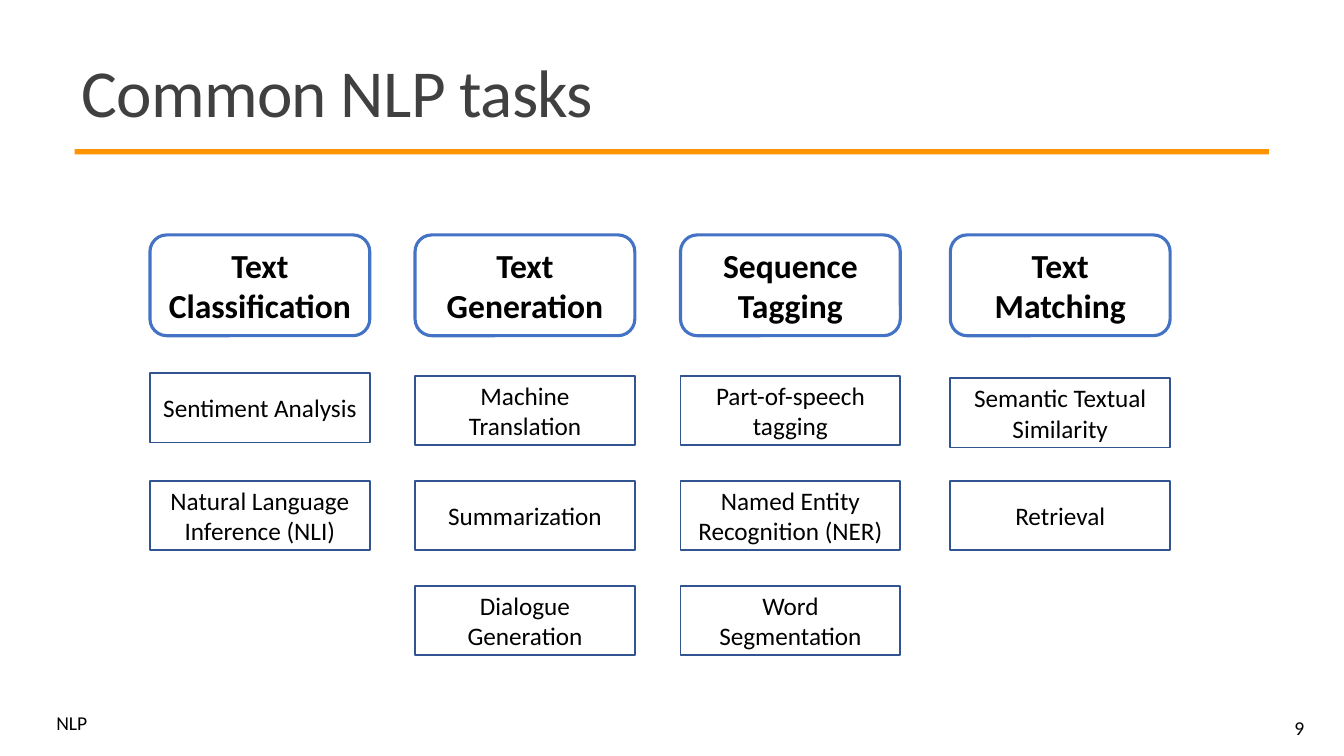
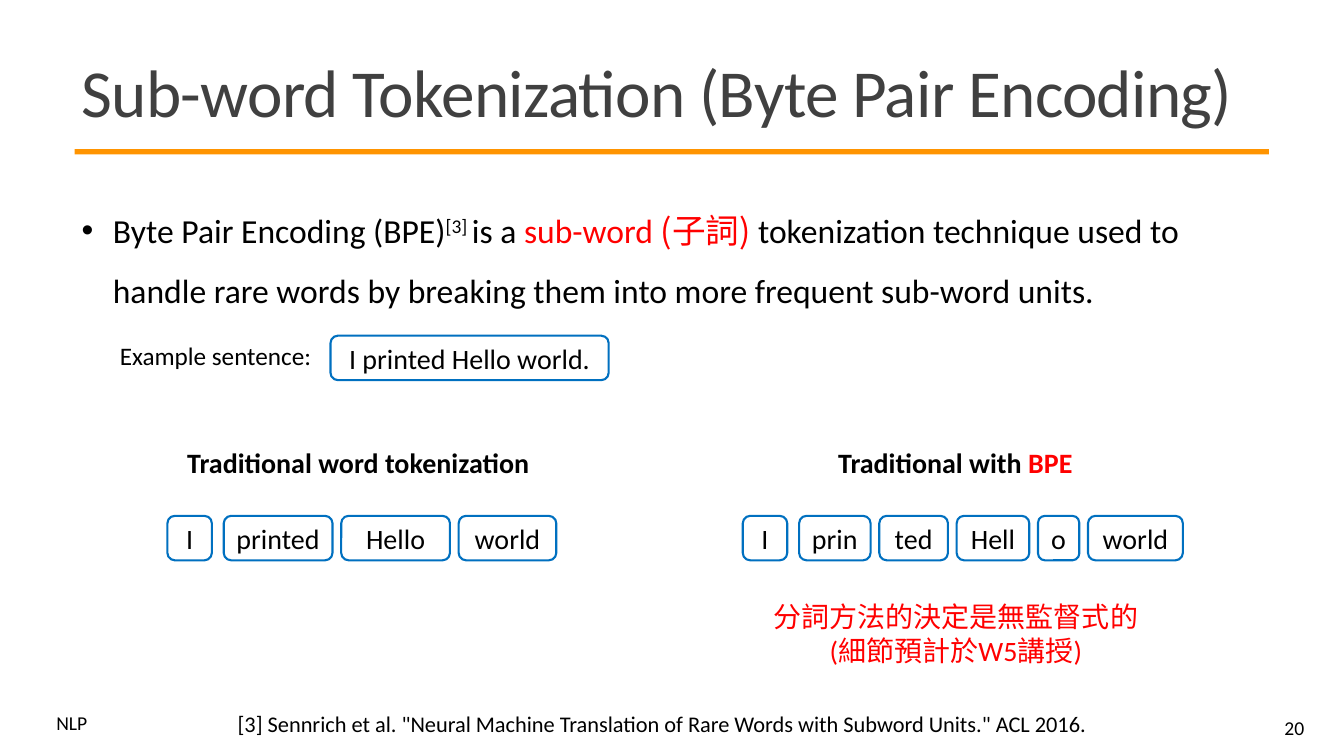
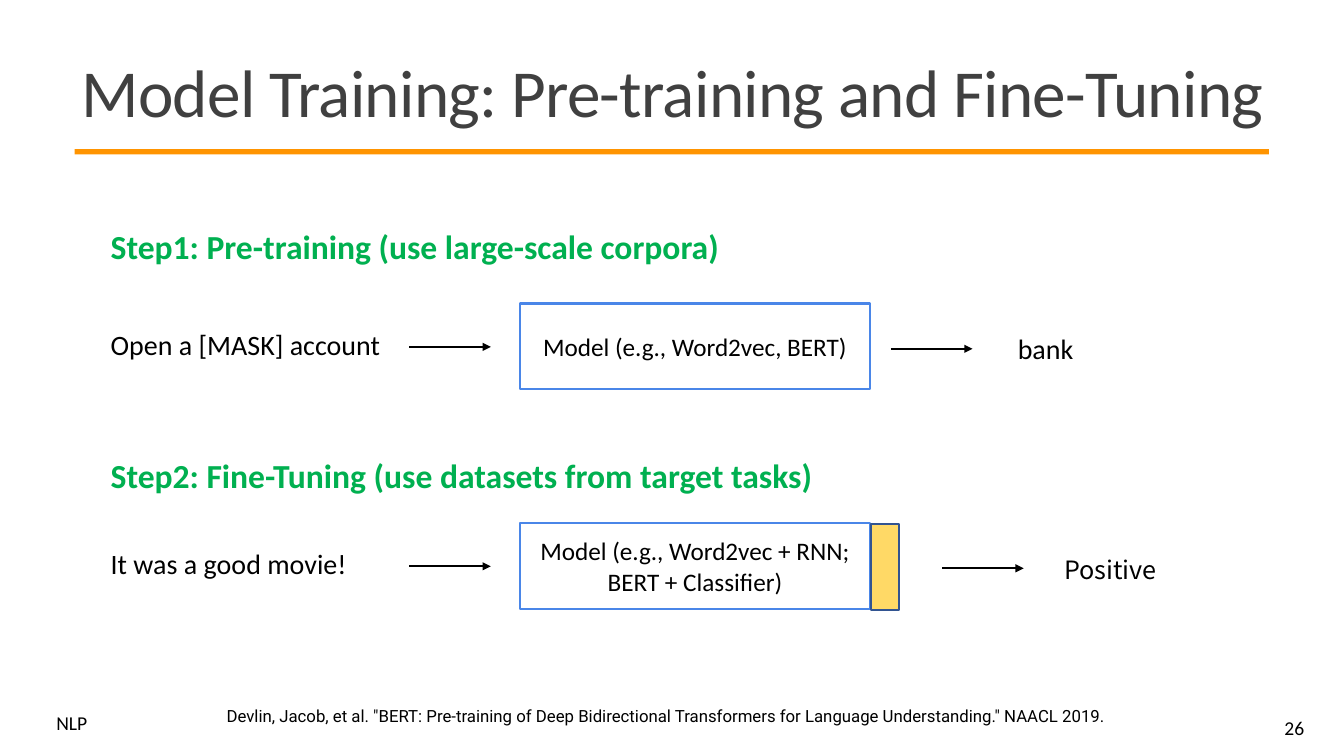
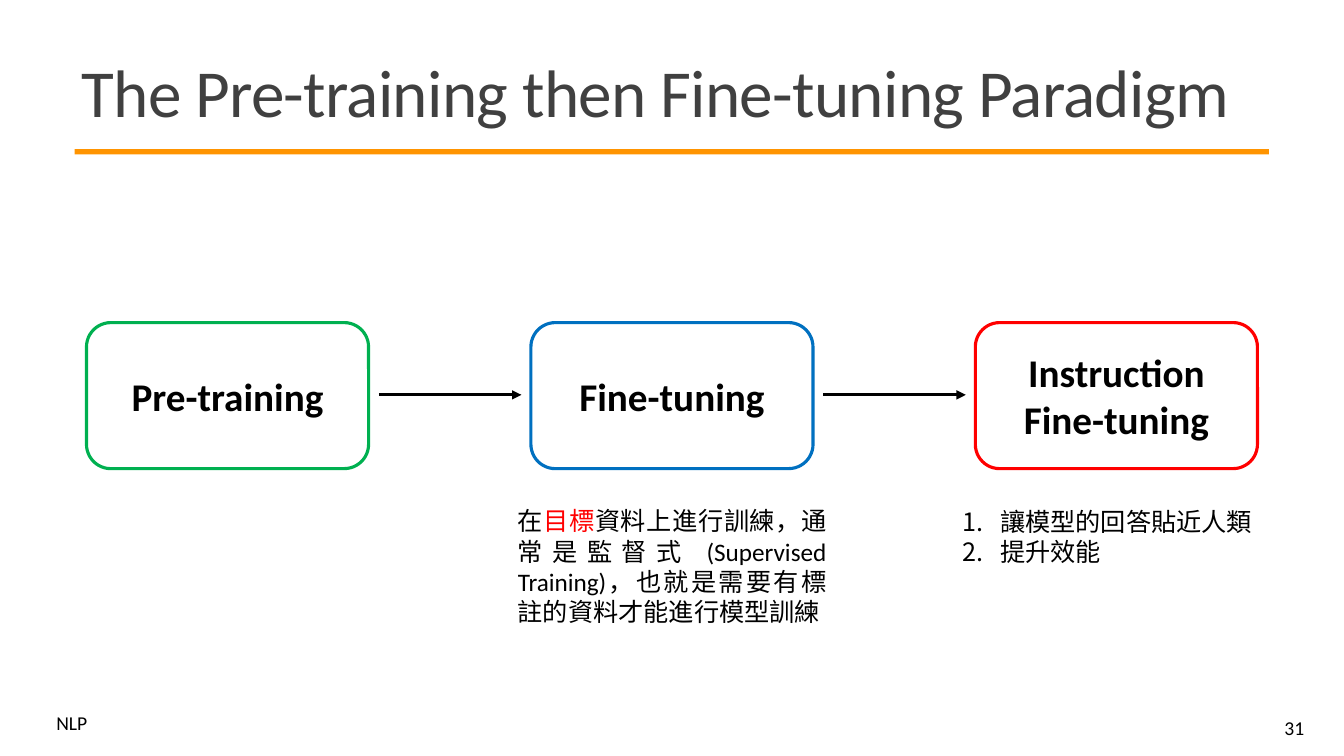
from lxml import etree
from pptx import Presentation
from pptx.dml.color import RGBColor
from pptx.enum.shapes import MSO_CONNECTOR, MSO_SHAPE
from pptx.enum.text import MSO_ANCHOR, MSO_AUTO_SIZE, PP_ALIGN
from pptx.oxml.ns import qn
from pptx.util import Cm, Pt

RECT = MSO_SHAPE.RECTANGLE
ROUND = MSO_SHAPE.ROUNDED_RECTANGLE
LINE = MSO_CONNECTOR.STRAIGHT
LEFT, MID, RIGHT, JUST = PP_ALIGN.LEFT, PP_ALIGN.CENTER, PP_ALIGN.RIGHT, PP_ALIGN.JUSTIFY
TOP, CENTER = MSO_ANCHOR.TOP, MSO_ANCHOR.MIDDLE
FIXED = MSO_AUTO_SIZE.NONE
LATIN, ASIAN = "Calibri", "Noto Sans CJK TC"
HUES = {
    "black": "000000", "gray": "404040", "orange": "FF9400", "red": "FF0000",
    "green": "00B050", "blue": "0070C0", "royal": "4472C4", "navy": "325491",
    "sky": "4A86E8", "gold": "FFD966",
}


def write(frame, paras, size, align=LEFT, bold=False, tone="black", font=LATIN, space=1.0):
    frame.word_wrap = True
    frame.auto_size = FIXED
    for i, para in enumerate(paras):
        line = frame.add_paragraph() if i else frame.paragraphs[0]
        line.alignment = align
        line.line_spacing = space
        line.space_before = Pt(0)
        for words, hue, face in [(para, tone, font)] if isinstance(para, str) else para:
            run = line.add_run()
            run.text = words
            run.font.size = Pt(size)
            run.font.bold = bold
            run.font.name = face
            run.font.color.rgb = RGBColor.from_string(HUES[hue])
            etree.SubElement(run.font._element, qn("a:ea"), typeface=ASIAN)


def box(page, kind, x, y, w, h, edge=None, width=1.5, fill=None):
    area = Cm(x), Cm(y), Cm(w), Cm(h)
    if kind is None:
        return page.shapes.add_textbox(*area)
    shape = page.shapes.add_shape(kind, *area)
    shape.shadow.inherit = False
    shape.text_frame.vertical_anchor = CENTER
    if fill:
        shape.fill.solid()
        shape.fill.fore_color.rgb = RGBColor.from_string(HUES[fill])
    else:
        shape.fill.background()
    if edge:
        shape.line.color.rgb = RGBColor.from_string(HUES[edge])
        shape.line.width = Pt(width)
    else:
        shape.line.fill.background()
    return shape


deck = Presentation()
deck.slide_width, deck.slide_height = Cm(33.87), Cm(19.05)

pages = []
for words, number, style in [
    ("Common NLP tasks", "9", 5),
    ("Sub-word Tokenization (Byte Pair Encoding)", "20", 1),
    ("Model Training: Pre-training and Fine-Tuning", "26", 5),
    ("The Pre-training then Fine-tuning Paradigm", "31", 1),
]:
    page = deck.slides.add_slide(deck.slide_layouts[style])
    title = page.shapes.title
    title.left, title.top, title.width, title.height = Cm(1.8), Cm(1), Cm(30.33), Cm(2.87)
    title.text_frame.vertical_anchor = CENTER
    write(title.text_frame, [words], 48, tone="gray", space=0.85)
    title.text_frame.paragraphs[0].runs[0].font._element.set("spc", "-50")
    count = box(page, None, 29.49, 17.83, 3.63, 1.02)
    count.text_frame.vertical_anchor = CENTER
    write(count.text_frame, [number], 14, RIGHT)
    pages.append(page)
tasks, bytes_, model, flow = pages

band = box(tasks, RECT, 1.88, 3.76, 30.1, 0.13, fill="orange")
foot = box(tasks, None, 1.17, 17.91, 1.55, 0.74)
write(foot.text_frame, ["NLP"], 14, space=0.8)
for i, item in enumerate([band, foot]):
    item.element.nvSpPr.cNvPr.id = 20 + i
    deck.slide_master.shapes.element.append(item.element)

for x, top, head, items in [
    (3.78, 9.4, "Text Classification", ["Sentiment Analysis", "Natural Language Inference (NLI)"]),
    (10.46, 9.47, "Text Generation", ["Machine Translation", "Summarization", "Dialogue Generation"]),
    (17.15, 9.47, "Sequence Tagging",
     ["Part-of-speech tagging", "Named Entity Recognition (NER)", "Word Segmentation"]),
    (23.95, 9.53, "Text Matching", ["Semantic Textual Similarity", "Retrieval"]),
]:
    card = box(tasks, ROUND, x, 5.92, 5.54, 2.54, "royal", 2.25)
    write(card.text_frame, [head], 24, MID, True)
    for y, words in zip((top, 12.12, 14.76), items):
        card = box(tasks, RECT, x, y, 5.54, 1.75, "navy", 1.25)
        write(card.text_frame, [words], 18, MID)

body = bytes_.placeholders[1]
body.left, body.top, body.width, body.height = Cm(1.8), Cm(4.65), Cm(29.11), Cm(3.18)
write(body.text_frame, [[
    ("Byte Pair Encoding (BPE)", "black", LATIN),
    ("[3] ", "black", LATIN),
    ("is a ", "black", LATIN),
    ("sub-word ", "red", LATIN),
    ("(子詞) ", "red", ASIAN),
    ("tokenization technique used to handle rare words by breaking them into "
     "more frequent sub-word units.", "black", LATIN),
]], 24, space=1.5)
point = body.text_frame.paragraphs[0]
point.runs[1].font._element.set("baseline", "30000")
props = point._p.get_or_add_pPr()
props.set("marL", str(Cm(0.79)))
props.set("indent", str(Cm(-0.79)))
etree.SubElement(props, qn("a:buChar"), char="•")

label = box(bytes_, None, 2.77, 8.46, 5.99, 1.02)
write(label.text_frame, ["Example sentence:"], 18)
card = box(bytes_, ROUND, 8.33, 8.46, 7.01, 1.12, "blue")
write(card.text_frame, ["I printed Hello world."], 20, MID)

for x, tokens in [
    (4.22, [("I", 1.12), ("printed", 2.74), ("Hello", 2.74), ("world", 2.46)]),
    (18.72, [("I", 1.12), ("prin", 1.8), ("ted", 1.73), ("Hell", 1.83), ("o", 1.04), ("world", 2.39)]),
]:
    for words, w in tokens:
        card = box(bytes_, ROUND, x, 13, w, 1.12, "blue")
        write(card.text_frame, [words], 20, MID)
        x += w + (0.3 if words == "I" else 0.22)

for x, y, w, h, paras, bold, tone in [
    (4.42, 11.1, 9.22, 1.12, ["Traditional word tokenization"], True, "black"),
    (20.85, 11.1, 6.45, 1.12,
     [[("Traditional with ", "black", LATIN), ("BPE", "red", LATIN)]], True, "black"),
    (19.2, 14.99, 9.78, 1.96, ["分詞方法的決定是無監督式的", "(細節預計於W5講授)"], False, "red"),
]:
    label = box(bytes_, None, x, y, w, h)
    write(label.text_frame, paras, 20, MID, bold, tone)
    label.text_frame.word_wrap = False

cite = box(bytes_, None, 5.74, 17.48, 22.38, 1.17)
cite.text_frame.vertical_anchor = CENTER
write(cite.text_frame, [
    '[3] Sennrich et al. "Neural Machine Translation of Rare Words with Subword Units." ACL 2016.'
], 16, space=1.5)

arrows = []
for top, head, y, words, name, x in [
    (5.56, "Step1: Pre-training (use large-scale corpora)", 7.65,
     "Open a [MASK] account", "Model (e.g., Word2vec, BERT)", 22.45),
    (11.35, "Step2: Fine-Tuning (use datasets from target tasks)", 13.18,
     "It was a good movie!", "Model (e.g., Word2vec + RNN; BERT + Classifier)", 23.74),
]:
    label = box(model, None, 2.54, top, 18.34, 1.27)
    write(label.text_frame, [head], 24, bold=True, tone="green")
    label = box(model, None, 2.54, y + 0.47, 7.49, 1.12)
    write(label.text_frame, [words], 20)
    card = box(model, RECT, 13.11, y, 8.81, 2.16, "sky")
    write(card.text_frame, [name], 18, MID)
    arrows += [(model, 10.31, y + 1.09, 2.06, 1.5), (model, x, y + 1.14, 2.06, 1.5)]

box(model, RECT, 21.95, 13.21, 0.71, 2.16, "navy", 1.25, "gold")
label = box(model, None, 25.4, 8.23, 1.98, 1.12)
write(label.text_frame, ["bank"], 20)
label = box(model, None, 26.31, 13.84, 3.35, 1.02)
write(label.text_frame, ["Positive"], 18, MID, font=ASIAN)
cite = box(model, None, 5.46, 17.65, 22.99, 0.9)
write(cite.text_frame, [
    'Devlin, Jacob, et al. "BERT: Pre-training of Deep Bidirectional Transformers '
    'for Language Understanding." NAACL 2019.'
], 12, font="Roboto")

for i, (words, edge) in enumerate([
    ("Pre-training", "green"), ("Fine-tuning", "blue"), ("Instruction Fine-tuning", "red"),
]):
    x = 2.18 + 11.2 * i
    card = box(flow, ROUND, x, 8.13, 7.11, 3.68, edge, 2.25)
    write(card.text_frame, [words], 28, MID, True)
    if i < 2:
        arrows.append((flow, x + 7.37, 9.95, 3.59, 2.25))

label = box(flow, None, 12.8, 12.62, 8.28, 3.33)
write(label.text_frame, [[
    ("在", "black", LATIN),
    ("目標", "red", LATIN),
    ("資料上進行訓練，通常是監督式 (Supervised Training)，也就是需要有標註的資料才能進行模型訓練",
     "black", LATIN),
]], 18, JUST)

body = flow.placeholders[1]
body.left, body.top, body.width, body.height = Cm(24), Cm(12.62), Cm(8.28), Cm(1.8)
body.text_frame.vertical_anchor = TOP
write(body.text_frame, ["讓模型的回答貼近人類", "提升效能"], 18, JUST)
for point in body.text_frame.paragraphs:
    props = point._p.get_or_add_pPr()
    props.set("marL", str(Cm(0.95)))
    props.set("indent", str(Cm(-0.95)))
    etree.SubElement(props, qn("a:buFont"), typeface=LATIN)
    etree.SubElement(props, qn("a:buAutoNum"), type="arabicPeriod")

for page, x, y, w, width in arrows:
    arrow = page.shapes.add_connector(LINE, Cm(x), Cm(y), Cm(x + w), Cm(y))
    arrow.line.color.rgb = RGBColor.from_string(HUES["black"])
    arrow.line.width = Pt(width)
    props = arrow.element.spPr
    etree.SubElement(props.find(qn("a:ln")), qn("a:tailEnd"), type="triangle")
    etree.SubElement(props, qn("a:effectLst"))

deck.save("out.pptx")
